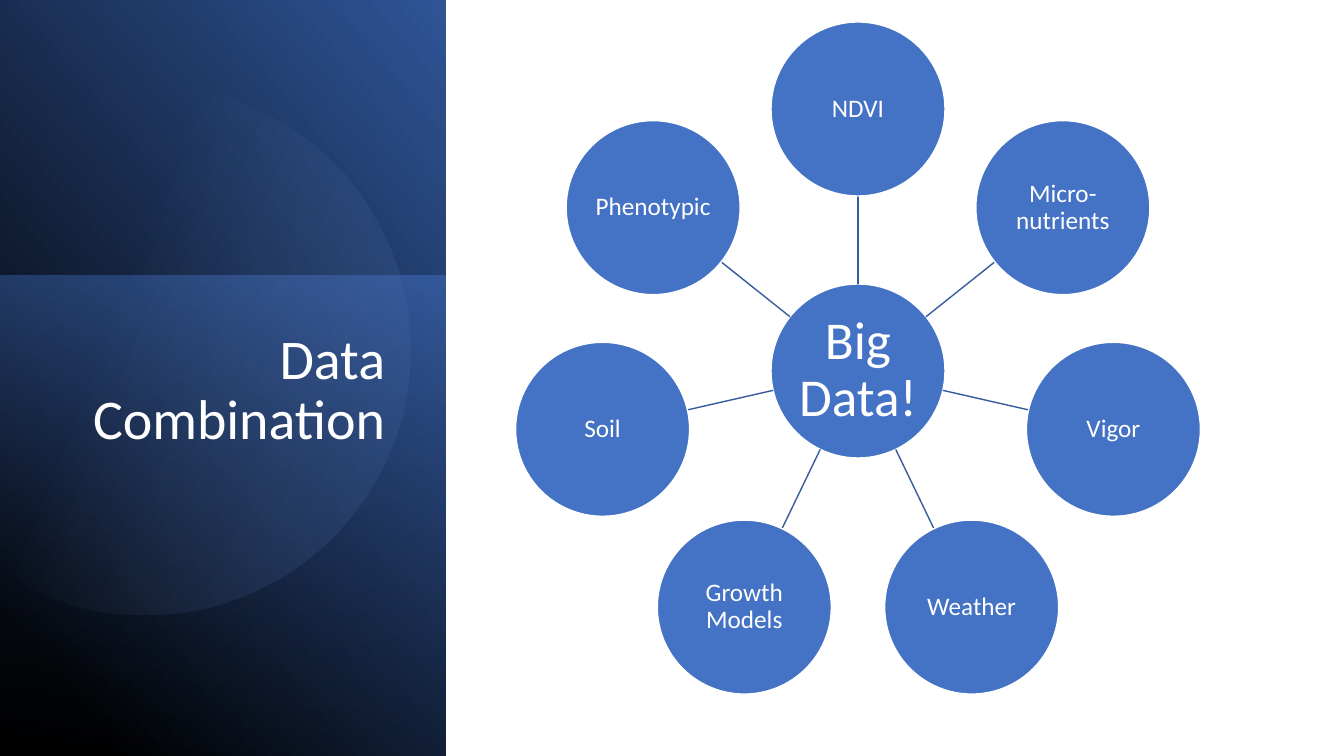
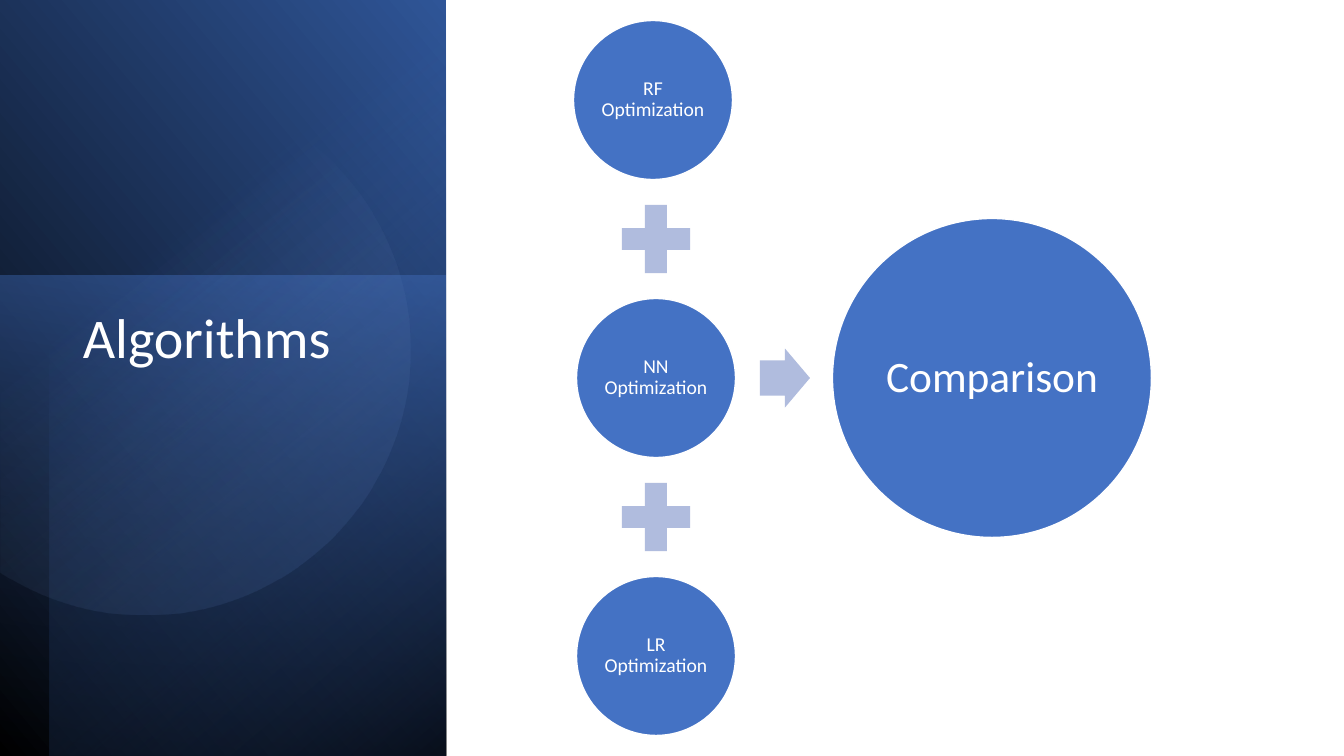
from math import cos, radians, sin

from lxml import etree
from pptx import Presentation
from pptx.dml.color import RGBColor
from pptx.enum.shapes import MSO_CONNECTOR, MSO_SHAPE
from pptx.enum.text import MSO_ANCHOR, PP_ALIGN
from pptx.oxml import parse_xml
from pptx.oxml.ns import nsdecls, qn
from pptx.util import Pt

RECT, OVAL = MSO_SHAPE.RECTANGLE, MSO_SHAPE.OVAL
PLUS, ARROW = MSO_SHAPE.MATH_PLUS, MSO_SHAPE.RIGHT_ARROW
LEFT, CENTER, RIGHT = PP_ALIGN.LEFT, PP_ALIGN.CENTER, PP_ALIGN.RIGHT
TOP, MIDDLE = MSO_ANCHOR.TOP, MSO_ANCHOR.MIDDLE
STRAIGHT = MSO_CONNECTOR.STRAIGHT

WHITE = RGBColor(0xFF, 0xFF, 0xFF)
BLACK = RGBColor(0, 0, 0)
BLUE = RGBColor(0x44, 0x72, 0xC4)
DEEP = RGBColor(0x2F, 0x55, 0x97)
NAVY = RGBColor(0x20, 0x38, 0x64)
SKY = RGBColor(0x8F, 0xAA, 0xDC)
SPOKE = RGBColor(0x36, 0x5B, 0x9D)
PALE = RGBColor(0xB0, 0xBC, 0xDE)
FONT = "Calibri"
WIDE, HIGH = 1344, 756
SCALE = 914400 / 100.8

# Content: gradient stops are (position, colour, opacity), all in percent
GLOW = [(0, BLUE, 50), (100, NAVY, 0)]
SHADE = [(0, BLACK, 59), (69, BLUE, 0)]
DISC = [(39, SKY, 0), (100, DEEP, 26)]
HUB = "Big Data!"
TOPICS = ["NDVI", "Micro-nutrients", "Vigor", "Weather",
          "Growth Models", "Soil", "Phenotypic"]
STEPS = [("RF Optimization", 653), ("NN Optimization", 656),
         ("LR Optimization", 656)]
RESULT = "Comparison"


def px(n):
    return round(n * SCALE)


def box(*nums):
    return [px(n) for n in nums]


def blend(shape, stops, angle):
    """Fill a shape with a gradient whose stops may be see-through."""
    shape.shadow.inherit = False
    shape.line.fill.background()
    marks = "".join(
        f'<a:gs pos="{pos * 1000}"><a:srgbClr val="{color}">'
        f'<a:alpha val="{alpha * 1000}"/></a:srgbClr></a:gs>'
        for pos, color, alpha in stops)
    fill = parse_xml(
        f'<a:gradFill {nsdecls("a")} rotWithShape="1"><a:gsLst>{marks}'
        f'</a:gsLst><a:lin ang="{angle * 60000}" scaled="0"/></a:gradFill>')
    props = shape.element.spPr
    geom = props.find(qn("a:prstGeom"))
    if geom is None:
        geom = props.find(qn("a:custGeom"))
    geom.addnext(fill)


def panel(slide, x, y, w, h, turn, flip, stops, angle):
    """Place a rectangle turned on its side so that it covers x, y, w, h."""
    shape = slide.shapes.add_shape(
        RECT, *box(x + (w - h) / 2, y + (h - w) / 2, h, w))
    shape.rotation = turn
    if flip:
        shape.element.spPr.find(qn("a:xfrm")).set("flipH", "1")
    blend(shape, stops, angle)


def disc(slide, angle):
    """Draw the big circle cut off by the left edge of the slide."""
    x, y, r, turn, cut = 144, 350, 265, 101.6, 123
    back = radians(-turn)
    mid = (183, 357)
    points = []
    for deg in range(-cut, cut + 1, 2):
        dx = x + r * cos(radians(deg)) - mid[0]
        dy = y + r * sin(radians(deg)) - mid[1]
        points.append(box(mid[0] + dx * cos(back) - dy * sin(back),
                          mid[1] + dx * sin(back) + dy * cos(back)))
    path = slide.shapes.build_freeform(*points[0], scale=1)
    path.add_line_segments(points[1:], close=True)
    shape = path.convert_to_shape()
    shape.rotation = turn
    blend(shape, DISC, angle)


def write(shape, text, size, align, anchor, inset=None):
    frame = shape.text_frame
    frame.word_wrap = True
    frame.vertical_anchor = anchor
    if inset is not None:
        for side in ("left", "top", "right", "bottom"):
            setattr(frame, "margin_" + side, px(inset))
    para = frame.paragraphs[0]
    para.text, para.alignment, para.line_spacing = text, align, 0.9
    for name, value in {"name": FONT, "size": Pt(size)}.items():
        setattr(para.font, name, value)
    para.font.color.rgb = WHITE


def solid(slide, kind, x, y, w, h, color):
    """Place a plain shape by its centre."""
    shape = slide.shapes.add_shape(kind, *box(x - w / 2, y - h / 2, w, h))
    shape.shadow.inherit = False
    shape.fill.solid()
    shape.fill.fore_color.rgb = color
    shape.line.fill.background()
    return shape


def ball(slide, x, y, size, text, points):
    shape = solid(slide, OVAL, x, y, size, size, BLUE)
    shape.line.color.rgb = WHITE
    shape.line.width = Pt(1)
    write(shape, text, points, CENTER, MIDDLE, 2)


def spoke(slide, *ends):
    line = slide.shapes.add_connector(STRAIGHT, *box(*ends))
    line.line.color.rgb = SPOKE
    line.line.width = Pt(1)
    etree.SubElement(line.element.spPr, qn("a:effectLst"))


def start(deck, title, place, align, dark, angle, shade):
    """Add a slide with the blue side band and its title."""
    slide = deck.slides.add_slide(deck.slide_layouts[6])
    base = [(dark, BLACK, 100), (100, DEEP, 100)]
    panel(slide, 0, 0, 446, 758, 90, True, base, 310)
    panel(slide, 0, 275, 446, 480, 270, False, GLOW, 190)
    if shade:
        panel(slide, 50, 0, 396, HIGH, 270, True, SHADE, 220)
    disc(slide, angle)
    write(slide.shapes.add_textbox(*box(*place)), title, 40, align, TOP)
    return slide


def wheel(deck):
    slide = start(deck, "Data Combination", (58, 326, 337, 389), RIGHT,
                  11, 280, False)
    x, y, size, reach = 858, 371, 174, 262
    ball(slide, x, y, size, HUB, 38)
    for i, topic in enumerate(TOPICS):
        turn = radians(360 * i / len(TOPICS))
        dx, dy = sin(turn), -cos(turn)
        near, far = size / 2, reach - size / 2
        spoke(slide, x + near * dx, y + near * dy, x + far * dx, y + far * dy)
        ball(slide, x + reach * dx, y + reach * dy, size, topic, 18)


def flow(deck):
    slide = start(deck, "Algorithms", (73, 305, 317, 339), LEFT,
                  0, 310, True)
    x, y, gap = 656, 100, 278
    for i, (step, mid) in enumerate(STEPS):
        ball(slide, mid, y + i * gap, 159, step, 14)
        if i:
            solid(slide, PLUS, x, y + (i - 0.5) * gap, 93, 93, PALE)
    arrow = solid(slide, ARROW, 785, y + gap, 50, 59, PALE)
    arrow.adjustments[0] = 0.6
    ball(slide, 992, y + gap, 319, RESULT, 31)


def main():
    deck = Presentation()
    deck.slide_width, deck.slide_height = box(WIDE, HIGH)
    wheel(deck)
    flow(deck)
    deck.save("out.pptx")


if __name__ == "__main__":
    main()
